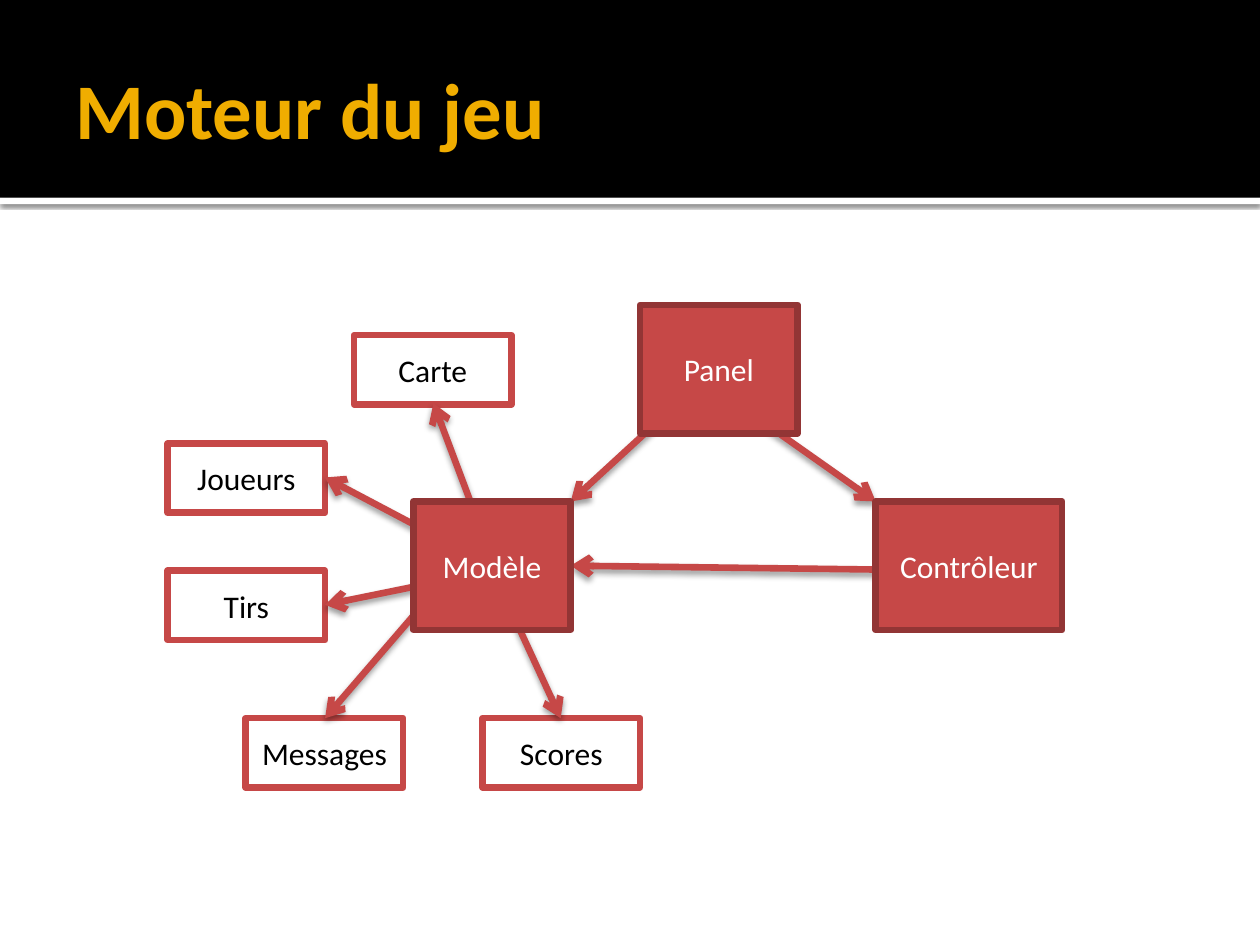
"""Build the game engine slide: a title band above a diagram of linked boxes."""
from lxml import etree
from pptx import Presentation
from pptx.dml.color import RGBColor
from pptx.enum.shapes import MSO_CONNECTOR, MSO_SHAPE
from pptx.enum.text import MSO_ANCHOR, PP_ALIGN
from pptx.oxml.ns import qn
from pptx.util import Inches, Pt

RECTANGLE = MSO_SHAPE.RECTANGLE
STRAIGHT = MSO_CONNECTOR.STRAIGHT
MIDDLE = MSO_ANCHOR.MIDDLE
CENTER = PP_ALIGN.CENTER
BLACK = RGBColor(0x00, 0x00, 0x00)
WHITE = RGBColor(0xFF, 0xFF, 0xFF)
GOLD = RGBColor(0xF0, 0xAD, 0x00)
RED = RGBColor(0xC6, 0x48, 0x47)
DARK_RED = RGBColor(0x92, 0x35, 0x35)
FONT = "Calibri"
LINE_WIDTH = Pt(3.78)


def add_shadow(shape, opacity, blur, distance):
    """Give a shape or connector a black shadow that falls straight down."""
    properties = shape.element.spPr
    effects = properties.find(qn("a:effectLst"))
    if effects is None:
        effects = etree.SubElement(properties, qn("a:effectLst"))
    shadow = etree.SubElement(effects, qn("a:outerShdw"), blurRad=str(Pt(blur)),
                              dist=str(Pt(distance)), dir="5400000", rotWithShape="0")
    color = etree.SubElement(shadow, qn("a:srgbClr"), val="000000")
    etree.SubElement(color, qn("a:alpha"), val=str(opacity * 1000))


def add_box(label, left, top, width, height, fill, outline, text_color):
    """Add an outlined box with a centred label."""
    box = page.shapes.add_shape(RECTANGLE, Inches(left), Inches(top),
                                Inches(width), Inches(height))
    box.shadow.inherit = False
    box.fill.solid()
    box.fill.fore_color.rgb = fill
    box.line.color.rgb = outline
    box.line.width = LINE_WIDTH
    box.text_frame.text = label
    box.text_frame.vertical_anchor = MIDDLE
    para = box.text_frame.paragraphs[0]
    para.alignment = CENTER
    font = para.runs[0].font
    font.name, font.size = FONT, Pt(18)
    font.color.rgb = text_color


deck = Presentation()
deck.slide_width, deck.slide_height = Inches(10), Inches(7.5)
page = deck.slides.add_slide(deck.slide_layouts[6])

for top, height, color in [(1.57, 0.05, WHITE), (0, 1.57, BLACK)]:
    band = page.shapes.add_shape(RECTANGLE, 0, Inches(top), deck.slide_width, Inches(height))
    band.shadow.inherit = False
    band.fill.solid()
    band.fill.fore_color.rgb = color
    band.line.fill.background()
    if color == WHITE:
        add_shadow(band, 60, 2.5, 0.8)

title = page.shapes.add_textbox(Inches(0.5), Inches(0.17), Inches(9), Inches(1.37))
frame = title.text_frame
frame.word_wrap = True
frame.vertical_anchor = MIDDLE
frame.margin_left = Inches(0.1)
frame.margin_top = frame.margin_right = frame.margin_bottom = Inches(0.05)
frame.text = "Moteur du jeu"
title_font = frame.paragraphs[0].runs[0].font
title_font.name, title_font.size, title_font.bold = FONT, Pt(45), True
title_font.color.rgb = GOLD

data_boxes = [("Carte", 2.81, 2.66), ("Joueurs", 1.33, 3.52), ("Tirs", 1.33, 4.53),
              ("Messages", 1.95, 5.7), ("Scores", 3.83, 5.7)]
for label, left, top in data_boxes:
    add_box(label, left, top, 1.25, 0.55, WHITE, RED, BLACK)

arrows = [
    (3.91, 4.45, 3.44, 3.2),
    (3.83, 4.45, 2.58, 3.79),
    (3.91, 4.53, 2.58, 4.8),
    (3.52, 4.61, 2.58, 5.7),
    (3.91, 4.53, 4.45, 5.7),
    (5.63, 2.97, 4.53, 3.98),
    (5.63, 3.05, 6.95, 3.98),
    (7.73, 4.53, 4.53, 4.49),
]
for ends in arrows:
    arrow = page.shapes.add_connector(STRAIGHT, *[Inches(value) for value in ends])
    arrow.line.color.rgb = RED
    arrow.line.width = LINE_WIDTH
    etree.SubElement(arrow.element.spPr.find(qn("a:ln")), qn("a:tailEnd"), type="arrow")
    add_shadow(arrow, 38, 3.5, 2)

main_boxes = [("Panel", 5.08, 2.42, 1.25), ("Contrôleur", 6.95, 3.98, 1.48),
              ("Modèle", 3.28, 3.98, 1.25)]
for label, left, top, width in main_boxes:
    add_box(label, left, top, width, 1.02, RED, DARK_RED, WHITE)

deck.save("out.pptx")
